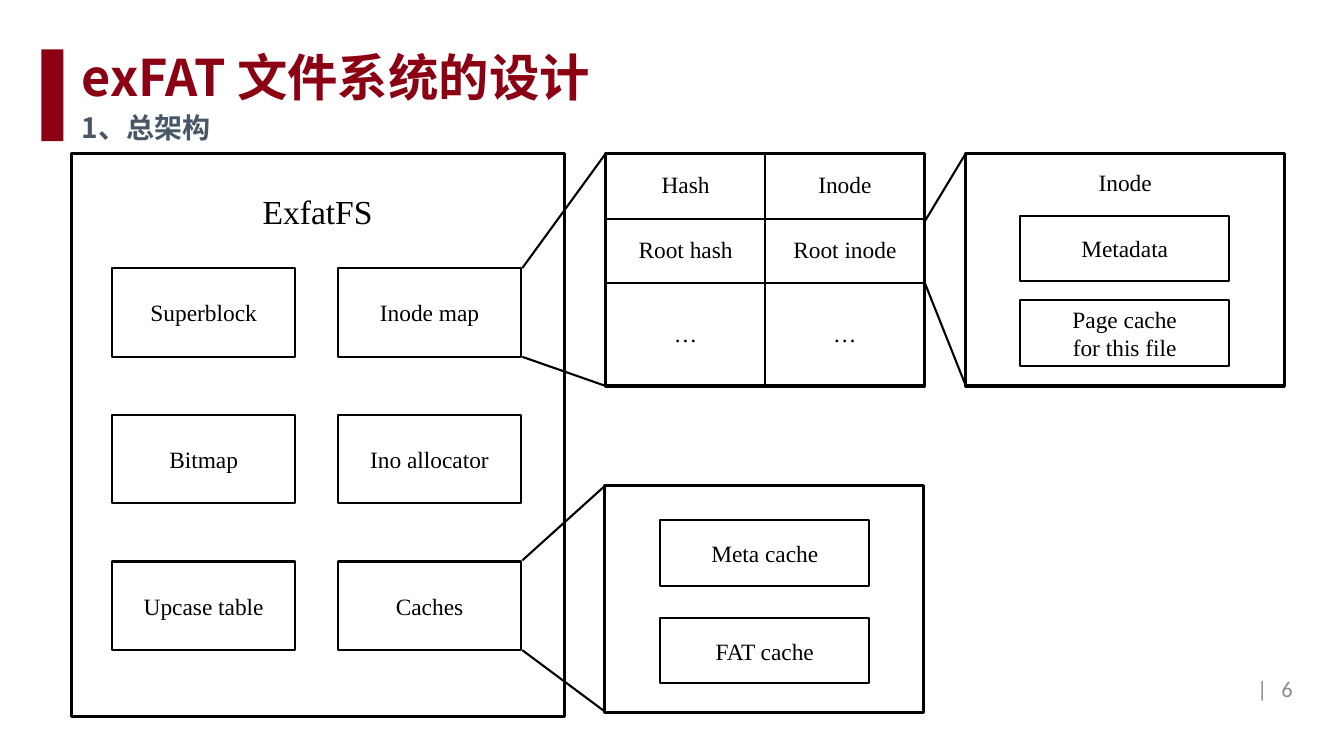
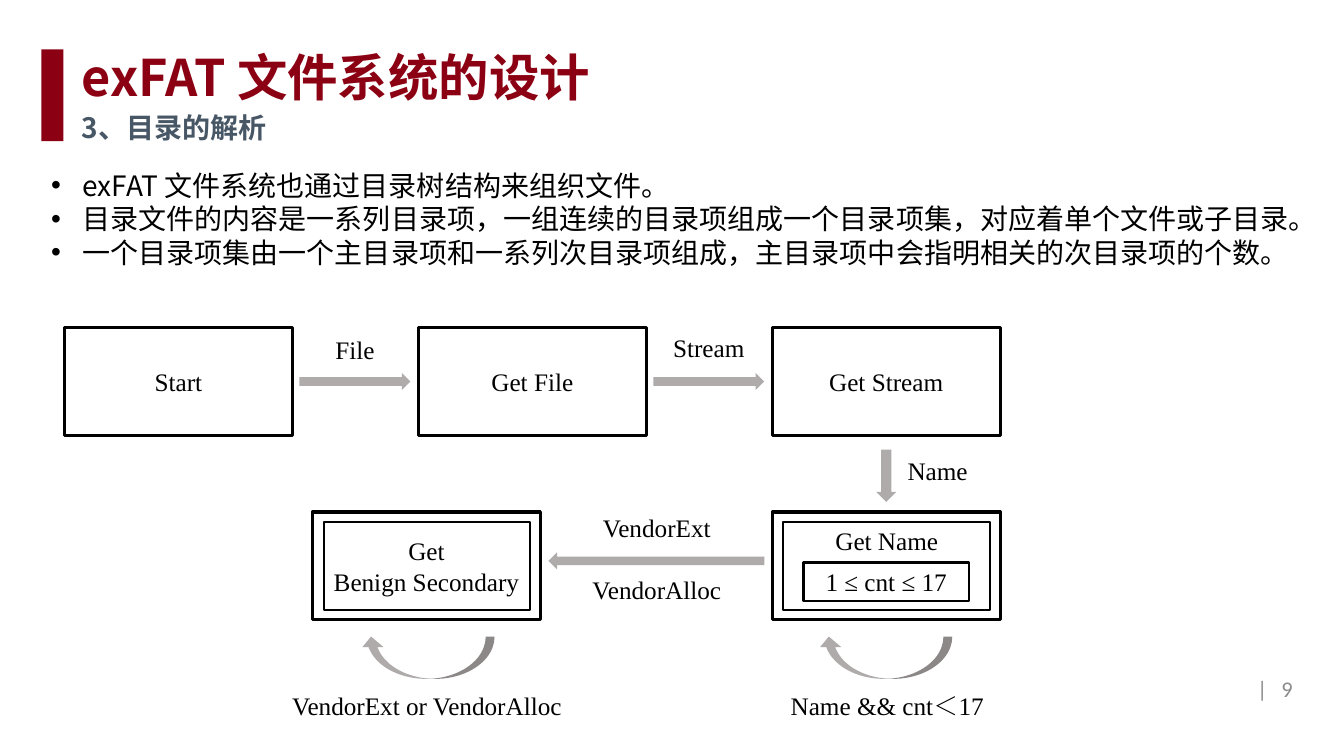
import pptx
import pptx.util
import pptx.dml.color
import pptx.enum.shapes
import pptx.enum.text
from lxml import etree
from pptx.oxml.ns import qn

Inches, Pt = pptx.util.Inches, pptx.util.Pt
SHAPE = pptx.enum.shapes.MSO_SHAPE
ALIGN = pptx.enum.text.PP_ALIGN
ANCHOR = pptx.enum.text.MSO_ANCHOR

RED, SLATE, GRAY, ARROW, BLACK = "8B0012", "485766", "8C8C8C", "AFABAB", "000000"
CJK, SERIF = "Noto Sans CJK SC", "Times New Roman"

TITLE = dict(font=dict(name=CJK, size=Pt(36), bold=True), color=RED, align=ALIGN.LEFT, margin=0.1)
SUBTITLE = dict(font=dict(name=CJK, size=Pt(20), bold=True), color=SLATE, align=ALIGN.LEFT, margin=0.1)
FOOTER = dict(font=dict(name="Calibri", size=Pt(16)), color=GRAY, align=ALIGN.RIGHT, margin=0.1)
BODY = dict(font=dict(name=CJK, size=Pt(20)), color=BLACK, align=ALIGN.LEFT, margin=0.1)
HEADING = dict(font=dict(name=SERIF, size=Pt(24)), color=BLACK, align=ALIGN.CENTER, margin=0)
SMALL = dict(HEADING, font=dict(name=SERIF, size=Pt(16.7)))
LABEL = dict(HEADING, font=dict(name=SERIF, size=Pt(18)))


def rgb(value):
    return pptx.dml.color.RGBColor.from_string(value)


def add(s, kind, at, text="", look=LABEL, line=0, fill=None):
    place = [Inches(v) for v in at]
    if kind == "title":
        sp = s.shapes.title
        for name, value in zip(("left", "top", "width", "height"), place):
            setattr(sp, name, value)
    elif kind == "text":
        sp = s.shapes.add_textbox(*place)
    else:
        sp = s.shapes.add_shape(kind, *place)
        sp.shadow.inherit = False
        if fill:
            sp.fill.solid()
            sp.fill.fore_color.rgb = rgb(fill)
        else:
            sp.fill.background()
        if line:
            sp.line.color.rgb = rgb(BLACK)
            sp.line.width = Pt(line)
        else:
            sp.line.fill.background()
    if text:
        tf = sp.text_frame
        frame = dict(word_wrap=True, auto_size=pptx.enum.text.MSO_AUTO_SIZE.NONE,
                     vertical_anchor=ANCHOR.MIDDLE,
                     margin_left=Inches(look["margin"]), margin_right=Inches(look["margin"]))
        for name, value in frame.items():
            setattr(tf, name, value)
        tf.text = text
        for p in tf.paragraphs:
            p.alignment = look["align"]
            for r in p.runs:
                for name, value in look["font"].items():
                    setattr(r.font, name, value)
                r.font.color.rgb = rgb(look["color"])
                ea = etree.SubElement(r.font._element, qn("a:ea"))
                ea.set("typeface", look["font"]["name"])
    return sp


prs = pptx.Presentation()
prs.slide_width, prs.slide_height = Inches(13.33), Inches(7.5)

slides = []
for subtitle, number in (("1、总架构", "6"), ("3、目录的解析", "9")):
    s = prs.slides.add_slide(prs.slide_layouts[5])
    add(s, "title", (0.71, 0.4, 8.96, 0.71), "exFAT 文件系统的设计", TITLE)
    add(s, "text", (0.71, 1.04, 4.91, 0.44), subtitle, SUBTITLE)
    add(s, SHAPE.RECTANGLE, (0.41, 0.49, 0.22, 0.91), fill=RED)
    add(s, "text", (9.67, 6.63, 3, 0.4), "|", FOOTER)
    add(s, "text", (9.92, 6.63, 3, 0.4), number, FOOTER)
    slides.append(s)
architecture, parsing = slides

s = architecture
add(s, "text", (2.41, 1.84, 1.48, 0.5), "ExfatFS", HEADING)
parts = [("Superblock", "Inode map"), ("Bitmap", "Ino allocator"), ("Upcase table", "Caches")]
for row, names in enumerate(parts):
    for col, name in enumerate(names):
        add(s, SHAPE.RECTANGLE, (1.11 + 2.24 * col, 2.66 + 1.455 * row, 1.82, 0.88), name, SMALL, 1.5)

entries = [("Hash", "Inode"), ("Root hash", "Root inode"), ("…", "…")]
table = s.shapes.add_table(3, 2, Inches(6.01), Inches(1.52), Inches(3.16), Inches(2.31)).table
table.first_row = table.horz_banding = False
for row, height in enumerate((0.65, 0.64, 1.02)):
    table.rows[row].height = Inches(height)
    for col, name in enumerate(entries[row]):
        cell = table.cell(row, col)
        cell.text = name
        cell.vertical_anchor = ANCHOR.MIDDLE
        p = cell.text_frame.paragraphs[0]
        p.alignment = SMALL["align"]
        for key, value in SMALL["font"].items():
            setattr(p.runs[0].font, key, value)
        p.runs[0].font.color.rgb = rgb(BLACK)
        tcPr = cell._tc.get_or_add_tcPr()
        for side in ("lnL", "lnR", "lnT", "lnB"):
            ln = etree.SubElement(tcPr, qn("a:" + side), w=str(Pt(1.5)))
            solid = etree.SubElement(ln, qn("a:solidFill"))
            etree.SubElement(solid, qn("a:srgbClr"), val=BLACK)
        cell.fill.background()

for frame in ((0.71, 1.52, 4.89, 5.59), (6.01, 1.52, 3.16, 2.31),
              (9.58, 1.52, 3.16, 2.31), (6, 4.82, 3.16, 2.25)):
    add(s, SHAPE.RECTANGLE, frame, line=2.25)

add(s, "text", (10.54, 1.62, 1.24, 0.38), "Inode", SMALL)
for name, x, y in (("Metadata", 10.12, 2.14), ("Page cache\nfor this file", 10.12, 2.98),
                   ("Meta cache", 6.55, 5.16), ("FAT cache", 6.55, 6.13)):
    add(s, SHAPE.RECTANGLE, (x, y, 2.07, 0.65), name, SMALL, 1.5)

for ends in ((5.18, 2.66, 6.01, 1.52), (5.18, 3.54, 6.01, 3.83),
             (9.17, 2.2, 9.58, 1.52), (9.17, 2.8, 9.58, 3.83),
             (5.18, 5.56, 6, 4.82), (5.18, 6.45, 6, 7.06)):
    line = s.shapes.add_connector(pptx.enum.shapes.MSO_CONNECTOR.STRAIGHT, *[Inches(v) for v in ends])
    line.line.color.rgb = rgb(BLACK)
    line.line.width = Pt(1.5)
    etree.SubElement(line._element.spPr, qn("a:effectLst"))

s = parsing
bullets = [
    "exFAT 文件系统也通过目录树结构来组织文件。",
    "目录文件的内容是一系列目录项，一组连续的目录项组成一个目录项集，对应着单个文件或子目录。",
    "一个目录项集由一个主目录项和一系列次目录项组成，主目录项中会指明相关的次目录项的个数。",
]
sp = add(s, "text", (0.41, 1.62, 12.75, 1.11), "\n".join(bullets), BODY)
sp.text_frame.vertical_anchor = ANCHOR.TOP
for p in sp.text_frame.paragraphs:
    p.line_spacing = Pt(24)
    pPr = p._p.get_or_add_pPr()
    pPr.set("marL", str(Inches(0.31)))
    pPr.set("indent", str(-Inches(0.31)))
    etree.SubElement(pPr, qn("a:buFont"), typeface="Arial")
    etree.SubElement(pPr, qn("a:buChar"), char="•")

for name, x, y in (("Start", 0.64, 3.25), ("Get File", 4.15, 3.25), ("Get Stream", 7.66, 3.25),
                   ("Get\nBenign Secondary", 3.1, 5.08), ("", 7.66, 5.08)):
    add(s, SHAPE.RECTANGLE, (x, y, 2.26, 1.07), name, line=2.25)
for x in (3.21, 7.77):
    add(s, SHAPE.RECTANGLE, (x, 5.18, 2.05, 0.87), line=1.5)
add(s, SHAPE.RECTANGLE, (7.97, 5.58, 1.64, 0.38), "1 ≤ cnt ≤ 17", line=1.5)

for kind, at in ((SHAPE.RIGHT_ARROW, (2.97, 3.7, 1.1, 0.17)), (SHAPE.RIGHT_ARROW, (6.48, 3.7, 1.1, 0.17)),
                 (SHAPE.DOWN_ARROW, (8.69, 4.46, 0.2, 0.52)), (SHAPE.LEFT_ARROW, (5.44, 5.48, 2.14, 0.17))):
    add(s, kind, at, fill=ARROW)
for x in (4.03, 8.57):
    loop = add(s, SHAPE.CURVED_LEFT_ARROW, (x, 5.86, 0.42, 1.33), fill=ARROW)
    loop.rotation = 90
    loop.adjustments[0] = 0.21

for name, x, y, width in (
    ("File", 3.05, 3.27, 0.94),
    ("Stream", 6.48, 3.25, 1.1),
    ("Name", 8.83, 4.47, 0.94),
    ("Get Name", 7.99, 5.16, 1.61),
    ("VendorExt", 5.68, 5.03, 1.67),
    ("VendorAlloc", 5.68, 5.65, 1.67),
    ("VendorExt or VendorAlloc", 2.66, 6.8, 3.15),
    ("Name && cnt＜17", 7.67, 6.8, 2.26),
):
    add(s, "text", (x, y, width, 0.4), name)

prs.save("out.pptx")
